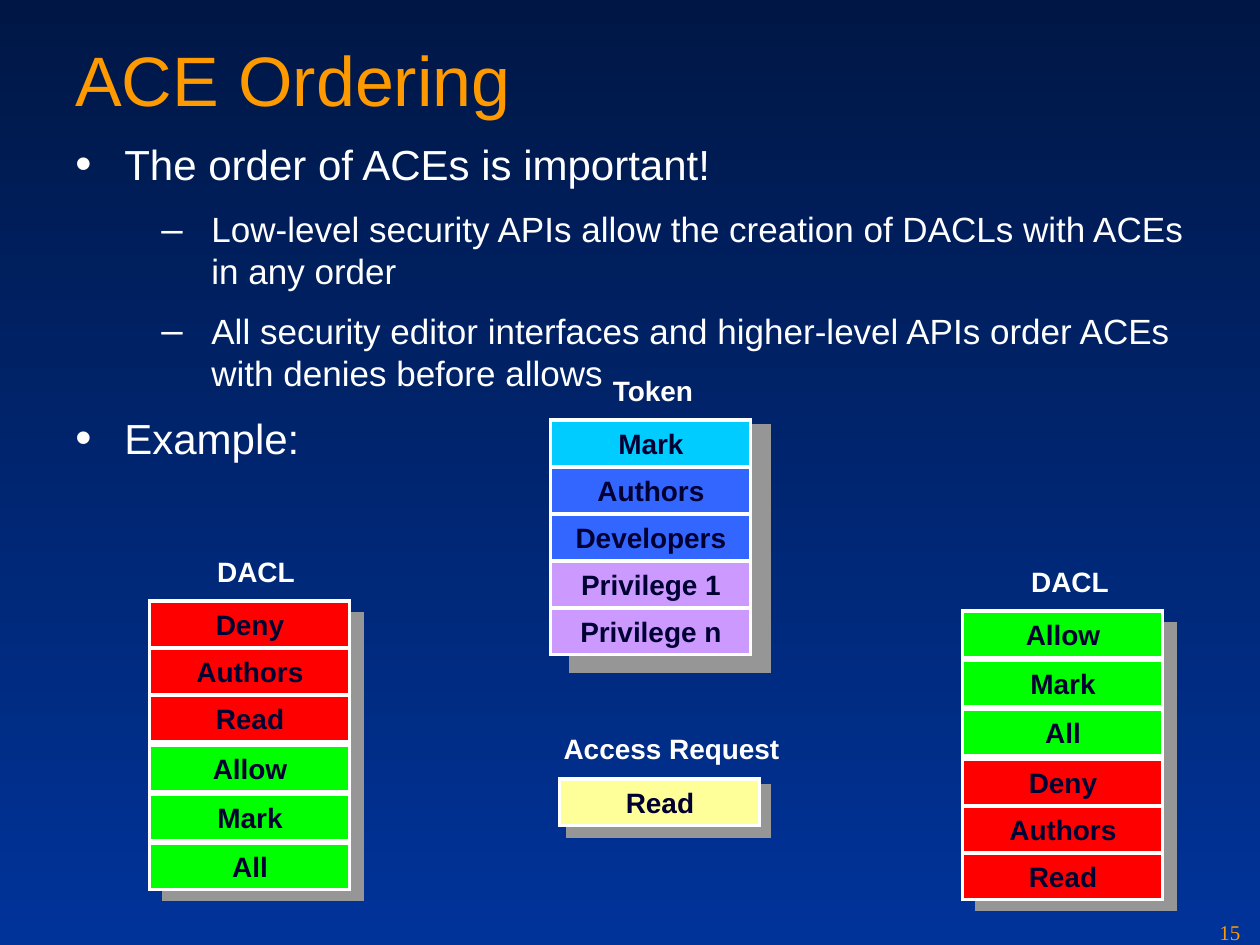
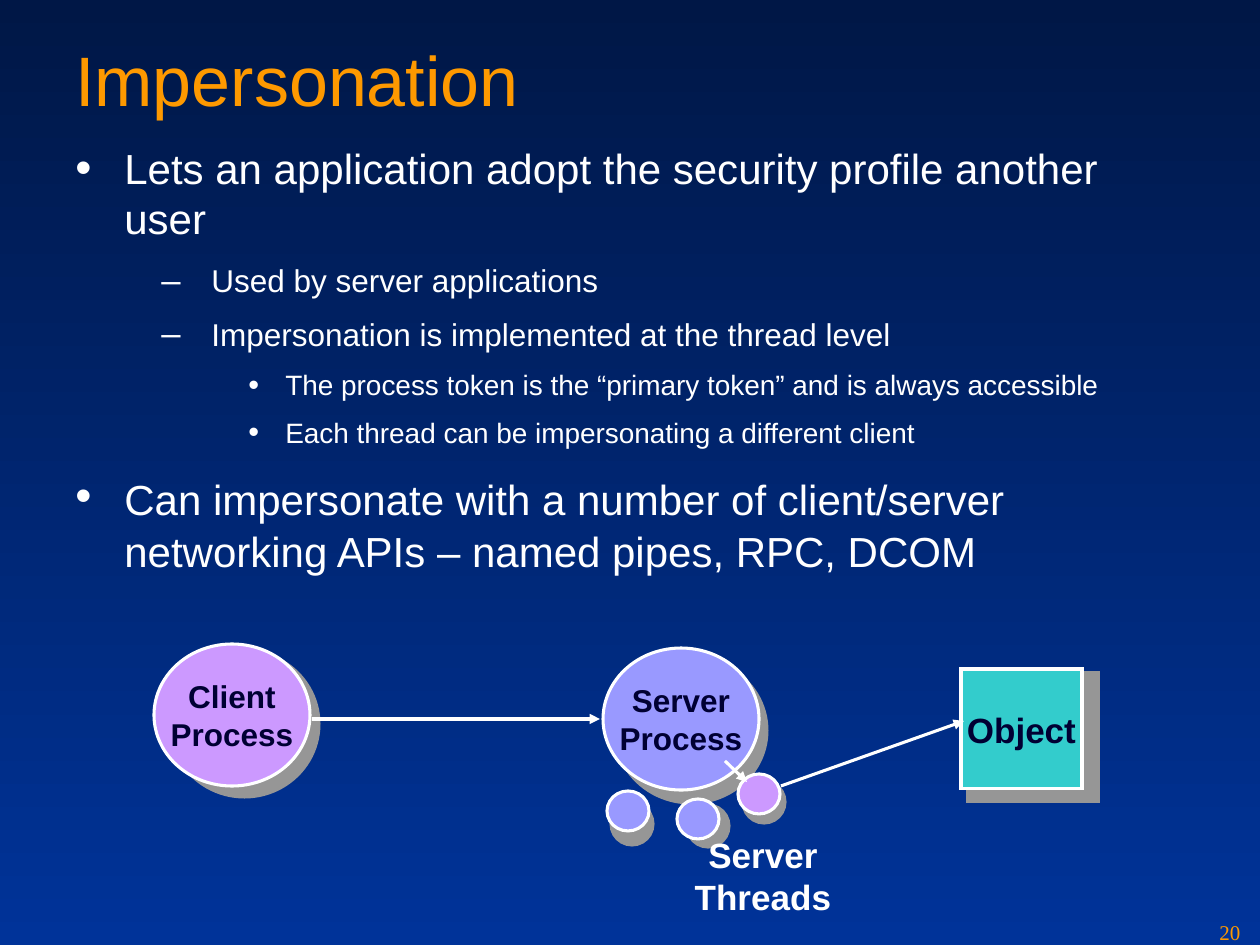
from lxml import etree
from pptx import Presentation
from pptx.dml.color import RGBColor
from pptx.enum.shapes import MSO_CONNECTOR, MSO_SHAPE
from pptx.enum.text import MSO_ANCHOR, PP_ALIGN
from pptx.oxml.ns import qn
from pptx.util import Emu, Pt

RECTANGLE, OVAL = MSO_SHAPE.RECTANGLE, MSO_SHAPE.OVAL
STRAIGHT = MSO_CONNECTOR.STRAIGHT
TOP, MIDDLE = MSO_ANCHOR.TOP, MSO_ANCHOR.MIDDLE
LEFT, CENTER = PP_ALIGN.LEFT, PP_ALIGN.CENTER

EMU_PER_PX = 914400 / 126
WHITE, NAVY_TEXT, ORANGE, GRAY = "FFFFFF", "000033", "FE9900", "969696"
RED, GREEN, CYAN, BLUE = "FF0000", "00FF00", "00CCFF", "3366FF"
LILAC, PERIWINKLE, TEAL, YELLOW = "CC99FF", "9999FF", "33CCCC", "FFFF99"
BACKGROUND = ("001746", "003399")
LINE_WIDTH = Pt(1.75)
ROW_WIDTH, ROW_HEIGHT = 200, 47
BULLET_LEVELS = (("•", 49, 49), ("–", 136, 50), ("•", 210, 37))  # mark, margin, hang


def px(*lengths):
    return [Emu(round(length * EMU_PER_PX)) for length in lengths]


def color(hex_string):
    return RGBColor.from_string(hex_string)


def style_run(run, size, hex_color, bold=False, font="Arial"):
    run.font.name = font
    run.font.size = Pt(size)
    run.font.bold = bold
    run.font.color.rgb = color(hex_color)


def write(text_frame, text, size, hex_color, bold=False, font="Arial",
          align=LEFT, anchor=TOP, wrap=True):
    text_frame.word_wrap = wrap
    text_frame.vertical_anchor = anchor
    text_frame.text = text
    for paragraph in text_frame.paragraphs:
        paragraph.alignment = align
        for run in paragraph.runs:
            style_run(run, size, hex_color, bold, font)


def add_text(slide, box, text, size, hex_color, **options):
    text_box = slide.shapes.add_textbox(*px(*box))
    write(text_box.text_frame, text, size, hex_color, **options)


def add_label(slide, box, text, size=16):
    add_text(slide, box, text, size, WHITE, bold=True, align=CENTER, wrap=False)


def add_block(slide, kind, box, fill, text="", size=16, line=WHITE):
    shape = slide.shapes.add_shape(kind, *px(*box))
    shape.shadow.inherit = False
    shape.fill.solid()
    shape.fill.fore_color.rgb = color(fill)
    shape.line.color.rgb = color(line)
    shape.line.width = LINE_WIDTH
    outline = shape._element.spPr.find(qn("a:ln"))
    etree.SubElement(outline, qn("a:miter"), lim="800000")
    if text:
        write(shape.text_frame, text, size, NAVY_TEXT, bold=True,
              align=CENTER, anchor=MIDDLE, wrap=False)


def add_backing(slide, kind, box):
    """Draw the solid gray block that serves as a drop shadow."""
    add_block(slide, kind, box, GRAY, line=GRAY)


def add_rows(slide, left, top, rows, pitch=47):
    for index, (text, fill) in enumerate(rows):
        box = (left, top + index * pitch, ROW_WIDTH, ROW_HEIGHT)
        add_block(slide, RECTANGLE, box, fill, text)


def add_arrow(slide, start, end):
    connector = slide.shapes.add_connector(STRAIGHT, *px(*start, *end))
    connector.line.color.rgb = color(WHITE)
    connector.line.width = LINE_WIDTH
    properties = connector._element.spPr
    line = properties.find(qn("a:ln"))
    etree.SubElement(line, qn("a:tailEnd"), type="triangle")
    etree.SubElement(properties, qn("a:effectLst"))


def set_bullet(paragraph, level):
    mark, margin, hang = BULLET_LEVELS[level]
    margin, hang = px(margin, hang)
    properties = paragraph._p.get_or_add_pPr()
    properties.set("marL", str(margin))
    properties.set("indent", str(-hang))
    mark_color = etree.SubElement(properties, qn("a:buClr"))
    etree.SubElement(mark_color, qn("a:srgbClr"), val=WHITE)
    etree.SubElement(properties, qn("a:buSzPct"), val="110000")
    etree.SubElement(properties, qn("a:buFont"), typeface="Arial")
    etree.SubElement(properties, qn("a:buChar"), char=mark)


def add_bullets(slide, top, items):
    """Write (level, size, text) items and return their paragraphs."""
    text_box = slide.shapes.add_textbox(*px(63, top, 1134, 634))
    text_frame = text_box.text_frame
    write(text_frame, "\n".join(text for _, _, text in items), 24, WHITE)
    for paragraph, (level, size, _) in zip(text_frame.paragraphs, items):
        paragraph.level = level
        paragraph.space_before = paragraph.space_after = Pt(size / 4)
        set_bullet(paragraph, level)
        paragraph.runs[0].font.size = Pt(size)
    return text_frame.paragraphs


def set_background(master):
    fill = master.background.fill
    fill.gradient()
    fill.gradient_angle = 270
    for position, (stop, shade) in enumerate(zip(fill.gradient_stops, BACKGROUND)):
        stop.position = position
        stop.color.rgb = color(shade)


def add_slide(presentation, title, number):
    slide = presentation.slides.add_slide(presentation.slide_layouts[6])
    add_text(slide, (63, 30, 1134, 158), title, 40, ORANGE)
    add_text(slide, (1207, 913, 53, 31), number, 12, ORANGE, font="Times New Roman")
    return slide


def build_ace_ordering(presentation):
    slide = add_slide(presentation, "ACE Ordering", "15")
    add_bullets(slide, 132, (
        (0, 24, "The order of ACEs is important!"),
        (1, 20, "Low-level security APIs allow the creation of DACLs with ACEs in any order"),
        (1, 20, "All security editor interfaces and higher-level APIs order ACEs "
                "with denies before allows"),
        (0, 24, "Example:"),
    ))

    add_backing(slide, RECTANGLE, (571, 426, 199, 245))
    add_rows(slide, 551, 420, (
        ("Mark", CYAN), ("Authors", BLUE), ("Developers", BLUE),
        ("Privilege 1", LILAC), ("Privilege n", LILAC)))
    add_label(slide, (583, 367, 140, 47), "Token")

    add_backing(slide, RECTANGLE, (568, 786, 202, 51))
    add_rows(slide, 560, 779, [("Read", YELLOW)])
    add_label(slide, (531, 725, 281, 47), "Access Request")

    deny = [(text, RED) for text in ("Deny", "Authors", "Read")]
    allow = [(text, GREEN) for text in ("Allow", "Mark", "All")]
    add_backing(slide, RECTANGLE, (164, 614, 199, 286))
    add_rows(slide, 150, 601, deny)
    add_rows(slide, 150, 745, allow, pitch=49)
    add_label(slide, (186, 548, 140, 47), "DACL")

    add_backing(slide, RECTANGLE, (977, 624, 199, 286))
    add_rows(slide, 963, 611, allow, pitch=49)
    add_rows(slide, 963, 759, deny)
    add_label(slide, (1000, 558, 140, 47), "DACL")


def build_impersonation(presentation):
    slide = add_slide(presentation, "Impersonation", "20")
    paragraphs = add_bullets(slide, 136, (
        (0, 24, "Lets an application adopt the security profile another user"),
        (1, 18, "Used by server applications"),
        (1, 18, "Impersonation is implemented at the thread level"),
        (2, 16, "The process token is the “primary token” and is always accessible"),
        (2, 16, "Each thread can be impersonating a different client"),
        (0, 24, "Can impersonate with a number of client/server"),
    ))
    for text, size in ((" ", 28), ("networking APIs – named pipes, RPC, DCOM", 24)):
        run = paragraphs[-1].add_run()
        run.text = text
        style_run(run, size, WHITE)

    add_backing(slide, OVAL, (170, 651, 149, 146))
    add_backing(slide, OVAL, (615, 658, 152, 145))
    for left, top in ((611, 803), (687, 805), (743, 781)):
        add_backing(slide, OVAL, (left, top, 42, 42))
    add_backing(slide, RECTANGLE, (968, 673, 130, 129))

    add_block(slide, OVAL, (154, 644, 156, 142), LILAC, "Client\nProcess", 18)
    add_block(slide, OVAL, (603, 648, 156, 142), PERIWINKLE, "Server\nProcess", 18)
    add_block(slide, RECTANGLE, (961, 669, 121, 120), TEAL, "Object", 20)
    for left, top, fill in ((738, 774, LILAC), (677, 799, PERIWINKLE),
                            (607, 791, PERIWINKLE)):
        add_block(slide, OVAL, (left, top, 42, 40), fill)
    add_label(slide, (663, 827, 200, 97), "Server\vThreads", 20)

    for start, end in (((312, 719), (600, 719)), ((725, 761), (747, 782)),
                       ((781, 786), (964, 721))):
        add_arrow(slide, start, end)


def main():
    presentation = Presentation()
    presentation.slide_width, presentation.slide_height = px(1260, 945)
    set_background(presentation.slide_master)
    build_ace_ordering(presentation)
    build_impersonation(presentation)
    presentation.save("out.pptx")


if __name__ == "__main__":
    main()
